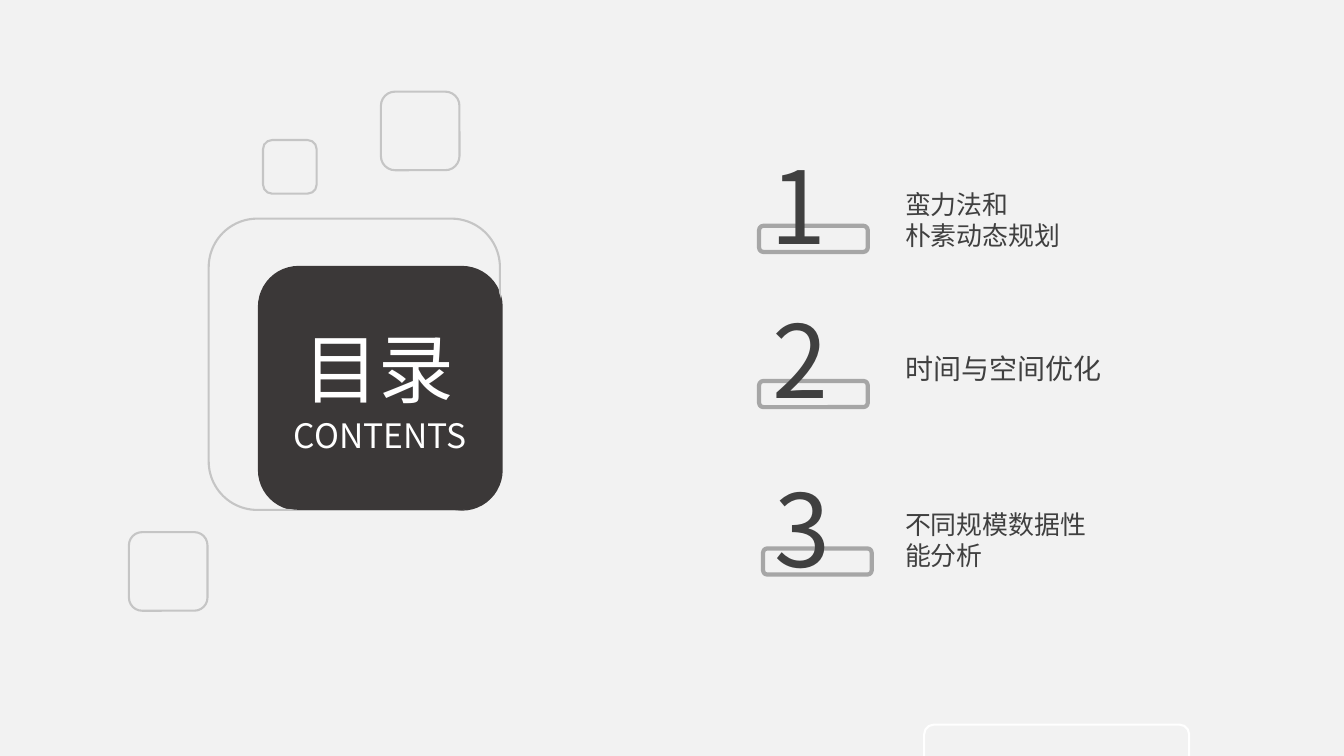
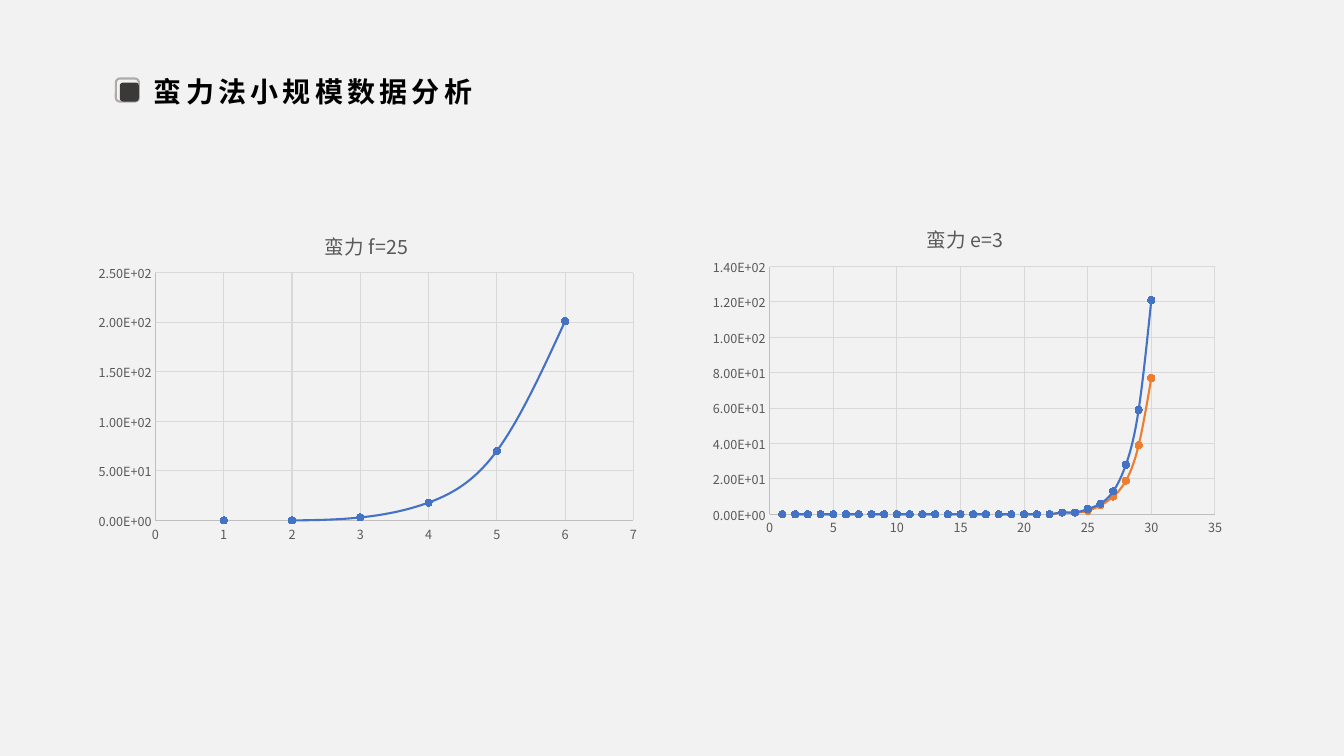
import lxml.etree
import pptx
import pptx.chart.data
import pptx.dml.color
import pptx.enum.chart
import pptx.enum.shapes
import pptx.enum.text
import pptx.oxml.ns
import pptx.util

Cm, Pt, qn = pptx.util.Cm, pptx.util.Pt, pptx.oxml.ns.qn

FACE = "Noto Sans CJK SC"
PAPER, WHITE, BLACK = "F2F2F2", "FFFFFF", "000000"
DARK, INK, NOTE = "3B3838", "404040", "595959"
PALE, EDGE, BAR = "C5C5C5", "AFABAB", "A6A6A6"
GRID, AXIS = "D9D9D9", "BFBFBF"
HUES = ["4472C4", "ED7D31"]


def tint(code):
    return pptx.dml.color.RGBColor.from_string(code)


def paint(fill, code):
    fill.solid()
    fill.fore_color.rgb = tint(code)


def stroke(line, code, width):
    paint(line.fill, code)
    line.width = Pt(width)


def lay(owner, index, **parts):
    for old in owner.findall(qn("c:layout")):
        owner.remove(old)
    layout = lxml.etree.Element(qn("c:layout"))
    manual = lxml.etree.SubElement(layout, qn("c:manualLayout"))
    for tag, value in parts.items():
        lxml.etree.SubElement(manual, qn("c:" + tag)).set("val", str(value))
    owner.insert(index, layout)


class Deck:
    """Holds the shared style and the slide being drawn."""

    def __init__(self):
        self.show = pptx.Presentation()
        self.show.slide_width = Cm(33.87)
        self.show.slide_height = Cm(19.05)
        paint(self.show.slide_master.background.fill, PAPER)
        self.slide = None

    def page(self):
        self.slide = self.show.slides.add_slide(self.show.slide_layouts[6])

    def style(self, para, size, color, bold=False, space=0):
        font = para.font
        font.size, font.bold, font.name = Pt(size), bold, FACE
        font.color.rgb = tint(color)
        props = para._p.get_or_add_pPr().find(qn("a:defRPr"))
        lxml.etree.SubElement(props, qn("a:ea")).set("typeface", FACE)
        if space:
            props.set("spc", str(space * 100))

    def box(self, left, top, width, height, fill=None, line=None, weight=1.5, bend=None):
        kind = pptx.enum.shapes.MSO_SHAPE.ROUNDED_RECTANGLE
        shape = self.slide.shapes.add_shape(kind, Cm(left), Cm(top), Cm(width), Cm(height))
        shape.shadow.inherit = False
        if bend:
            shape.adjustments[0] = bend
        if fill:
            paint(shape.fill, fill)
        else:
            shape.fill.background()
        if line:
            stroke(shape.line, line, weight)
        else:
            shape.line.fill.background()

    def text(self, left, top, width, height, words, size, color,
             wrap=True, grow=False, bold=False, space=0):
        shape = self.slide.shapes.add_textbox(Cm(left), Cm(top), Cm(width), Cm(height))
        frame = shape.text_frame
        frame.text = words
        frame.word_wrap = wrap
        if grow:
            frame.auto_size = pptx.enum.text.MSO_AUTO_SIZE.SHAPE_TO_FIT_TEXT
        else:
            frame.vertical_anchor = pptx.enum.text.MSO_ANCHOR.MIDDLE
            frame.margin_left = frame.margin_right = Cm(0.33)
            frame.margin_top = frame.margin_bottom = Cm(0.18)
        for para in frame.paragraphs:
            self.style(para, size, color, bold, space)

    def title(self, words):
        self.box(2.92, 1.98, 0.58, 0.58, line=EDGE)
        self.box(3.02, 2.08, 0.48, 0.48, fill=DARK)
        self.text(3.63, 1.75, 8.74, 1.12, words, 20, BLACK, grow=True, bold=True, space=3)

    def axis(self, axis, top, step, form):
        axis.minimum_scale, axis.maximum_scale, axis.major_unit = 0, top, step
        axis.major_tick_mark = pptx.enum.chart.XL_TICK_MARK.NONE
        axis.minor_tick_mark = pptx.enum.chart.XL_TICK_MARK.NONE
        axis.has_major_gridlines = True
        stroke(axis.major_gridlines.format.line, GRID, 0.75)
        stroke(axis.format.line, AXIS, 0.75)
        labels = axis.tick_labels
        labels.number_format, labels.number_format_is_linked = form, False
        labels.font.size, labels.font.name = Pt(9), FACE
        labels.font.color.rgb = tint(NOTE)

    def curve(self, left, top, width, height, words, rows, across, up, plot):
        data = pptx.chart.data.XyChartData()
        for count, row in enumerate(rows, 1):
            series = data.add_series(f"Series {count}")
            for x, y in enumerate(row, 1):
                series.add_data_point(x, y)
        kind = pptx.enum.chart.XL_CHART_TYPE.XY_SCATTER_SMOOTH
        chart = self.slide.shapes.add_chart(
            kind, Cm(left), Cm(top), Cm(width), Cm(height), data).chart
        chart.has_legend = False
        chart.font.size, chart.font.name = Pt(10), FACE
        chart.font.color.rgb = tint(BLACK)
        chart.has_title = True
        head = chart.chart_title
        head.text_frame.text = words
        self.style(head.text_frame.paragraphs[0], 14, NOTE)
        lay(head._element, 1, xMode="edge", yMode="edge", x=0.416, y=0.056)
        x, y, w, h = plot
        lay(chart._chartSpace.chart.plotArea, 0, layoutTarget="inner",
            xMode="edge", yMode="edge", x=x, y=y, w=w, h=h)
        self.axis(chart.category_axis, *across, "General")
        self.axis(chart.value_axis, *up, "0.00E+00")
        chart.plots[0].vary_by_categories = False
        for series, hue in zip(chart.plots[0].series, HUES):
            stroke(series.format.line, hue, 1.5)
            mark = series.marker
            mark.style, mark.size = pptx.enum.chart.XL_MARKER_STYLE.CIRCLE, 5
            paint(mark.format.fill, hue)
            stroke(mark.format.line, hue, 0.75)
            series._element.find(qn("c:smooth")).set("val", "1")


def contents(deck):
    deck.page()
    deck.box(6.5, 6.7, 6.17, 6.17, fill=DARK)
    deck.box(5.26, 5.51, 7.34, 7.34, line=PALE)
    for left, top, side, bend in [(6.63, 3.53, 1.35, None), (3.25, 13.41, 1.98, None),
                                  (9.6, 2.31, 1.98, 0.18)]:
        deck.box(left, top, side, side, line=PALE, bend=bend)
    deck.box(6.53, 6.73, 6.12, 6.12, fill=DARK)
    deck.text(7.16, 10.34, 5.11, 1.27, "CONTENTS", 24, WHITE, wrap=False, grow=True)
    deck.text(7.39, 7.98, 4.65, 2.57, "目录", 54, WHITE, wrap=False, grow=True)
    deck.box(23.29, 18.26, 6.68, 1.47, line=WHITE)
    items = [
        ((19.13, 5.69), (19.08, 4.32), 4.7, 7.06, "蛮力法和\n朴素动态规划", 18.5),
        ((19.13, 9.6), (19.13, 8.2), 8.46, 7.06, "时间与空间优化", 20),
        ((19.23, 13.82), (19.2, 12.45), 12.78, 5.77, "不同规模数据性能分析", 18.5),
    ]
    for count, (bar, digit, top, width, words, size) in enumerate(items, 1):
        deck.box(*bar, 2.74, 0.66, line=BAR, weight=3)
        deck.text(*digit, 3.76, 1.65, str(count), 72, INK)
        deck.text(22.48, top, width, 1.65, words, size, INK)


def trials(deck):
    deck.page()
    deck.title("蛮力法小规模数据分析")
    flat = [0] * 22
    deck.curve(17.7, 5.03, 13.36, 8.66, "蛮力 e=3",
               [flat + [1, 1, 3, 6, 13, 28, 59, 121], flat + [1, 1, 2, 5, 10, 19, 39, 77]],
               (35, 5), (140, 20), (0.127, 0.195, 0.84, 0.721))
    deck.curve(2.21, 5.21, 14.12, 8.66, "蛮力 f=25", [[0, 0, 3, 18, 70, 201]],
               (7, 1), (250, 50), (0.121, 0.192, 0.853, 0.721))


def main():
    deck = Deck()
    contents(deck)
    trials(deck)
    deck.show.save("out.pptx")


if __name__ == "__main__":
    main()
